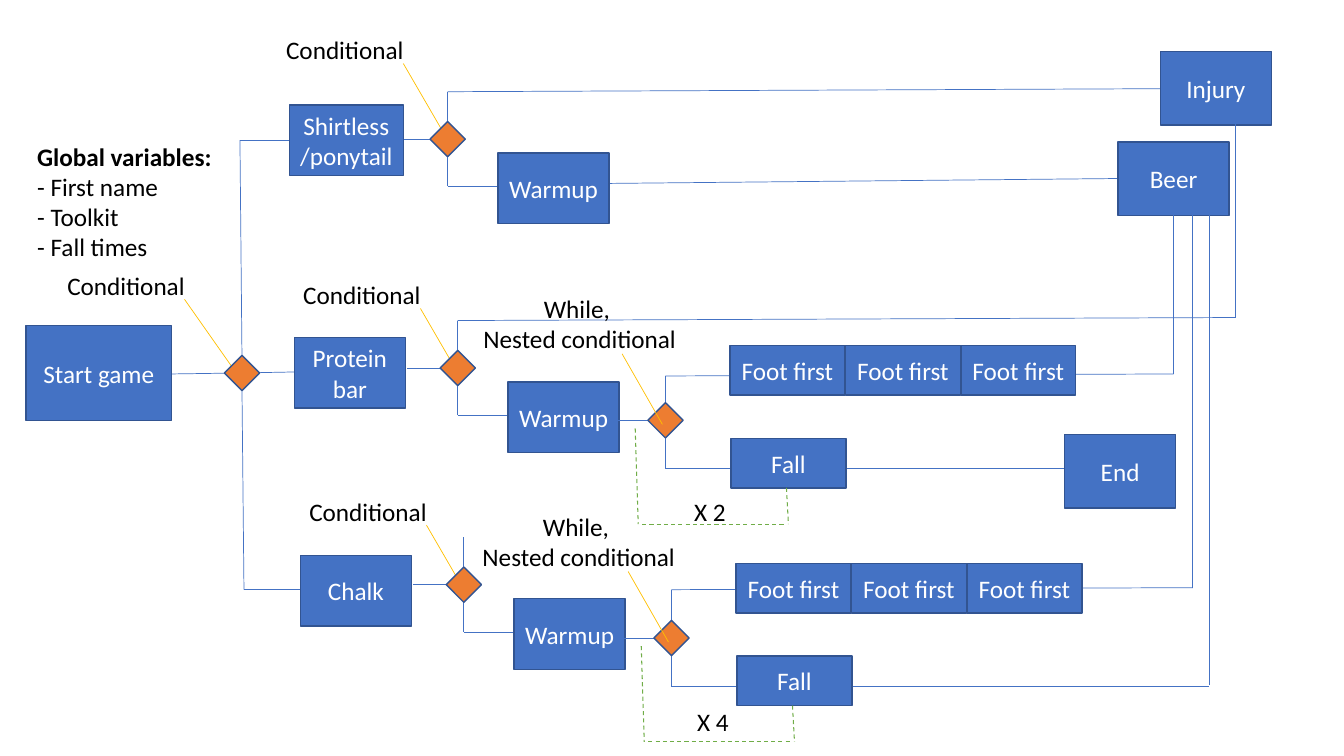
from lxml import etree
from pptx import Presentation
from pptx.dml.color import RGBColor
from pptx.enum.dml import MSO_LINE
from pptx.enum.shapes import MSO_CONNECTOR, MSO_SHAPE
from pptx.enum.text import MSO_ANCHOR, PP_ALIGN
from pptx.oxml.ns import qn
from pptx.util import Inches, Pt

BLUE, OUTLINE, ORANGE = "4472C4", "325491", "ED7D31"
YELLOW, GREEN, BLACK, WHITE = "FFC000", "70AD47", "000000", "FFFFFF"
DIAMOND = 0.35


def paint(color_format, color):
    """Set a fill, line or font colour from a hex string."""
    color_format.rgb = RGBColor.from_string(color)


def write(text_frame, lines, color, align=PP_ALIGN.CENTER):
    """Write one paragraph per line in the slide's text style."""
    for index, line in enumerate(lines):
        paragraph = text_frame.paragraphs[0] if index == 0 else text_frame.add_paragraph()
        paragraph.text = line
        paragraph.alignment = align
        paragraph.font.name = "Calibri"
        paragraph.font.size = Pt(18)
        paint(paragraph.font.color, color)


def add_line(slide, start, end, color=BLUE, width=0.5, dash=None):
    """Draw a straight line between two points."""
    line = slide.shapes.add_connector(
        MSO_CONNECTOR.STRAIGHT, *(Inches(value) for value in (*start, *end)))
    paint(line.line.color, color)
    line.line.width = Pt(width)
    if dash:
        line.line.dash_style = dash
    etree.SubElement(line._element.spPr, qn("a:effectLst"))


def add_wire(slide, *points, **style):
    """Join successive points with straight lines."""
    for start, end in zip(points, points[1:]):
        add_line(slide, start, end, **style)


def add_node(slide, kind, box, fill):
    """Draw an outlined shape in a left, top, width, height box."""
    shape = slide.shapes.add_shape(kind, *(Inches(value) for value in box))
    shape.shadow.inherit = False
    shape.fill.solid()
    paint(shape.fill.fore_color, fill)
    paint(shape.line.color, OUTLINE)
    shape.line.width = Pt(1)
    return shape


def add_step(slide, text, left, top, width=1.1, height=0.7):
    """Draw a blue step with its name in the middle."""
    step = add_node(slide, MSO_SHAPE.RECTANGLE, (left, top, width, height), BLUE)
    step.text_frame.word_wrap = True
    step.text_frame.vertical_anchor = MSO_ANCHOR.MIDDLE
    write(step.text_frame, [text], WHITE)


def add_decision(slide, x, y):
    """Draw a decision diamond centred on a point."""
    add_node(slide, MSO_SHAPE.DIAMOND,
             (x - DIAMOND / 2, y - DIAMOND / 2, DIAMOND, DIAMOND), ORANGE)


def add_label(slide, lines, left, top, width=1.38, height=0.4, align=PP_ALIGN.CENTER):
    """Place black text and return its text frame."""
    label = slide.shapes.add_textbox(*(Inches(value) for value in (left, top, width, height)))
    label.text_frame.word_wrap = True
    write(label.text_frame, lines, BLACK, align)
    return label.text_frame


def add_note(slide, start, end):
    """Point at a decision from its "Conditional" label."""
    add_line(slide, start, end, YELLOW)
    add_label(slide, ["Conditional"], end[0] - 1.27, end[1] - 0.34)


def add_variables(slide, left, top):
    """List the global variables under a bold heading."""
    lines = ["Global variables:", "- First name", "- Toolkit", "- Fall times"]
    text_frame = add_label(slide, lines, left, top, 1.95, 1.31, PP_ALIGN.LEFT)
    text_frame.paragraphs[0].font.bold = True


def add_start(slide, x, y):
    """Draw the start step and the three-way decision centred at x, y."""
    add_wire(slide, (x + 0.52, y - 2.31), (x - 0.02, y - 2.31), (x, y - 0.15))
    add_wire(slide, (x, y + 0.16), (x + 0.02, y + 2.15), (x + 0.6, y + 2.15))
    add_line(slide, (x - 0.7, y + 0.01), (x, y))
    add_line(slide, (x, y), (x + 0.54, y - 0.01))
    add_note(slide, (x - 0.05, y + 0.01), (x - 0.57, y - 0.73))
    add_step(slide, "Start game", x - 2.14, y - 0.47, 1.44, 0.94)
    add_decision(slide, x, y)


def add_branch(slide, x, y, action, action_box, note_shift=(0, 0), exit_point=None):
    """Draw an action, its decision at x, y and the warmup that follows."""
    left, top, width = action_box
    add_line(slide, (x - 0.5, y), (x, y))
    add_wire(slide, (x, y - 0.47), (x, y + 0.47), (x + 0.5, y + 0.47))
    if exit_point:
        add_line(slide, (x, y - 0.47), exit_point)
    note_x, note_y = x + note_shift[0], y + note_shift[1]
    add_note(slide, (note_x + 0.03, note_y + 0.1), (note_x - 0.37, note_y - 0.59))
    add_step(slide, action, x + left, y + top, width)
    add_step(slide, "Warmup", x + 0.5, y + 0.14)
    add_decision(slide, x, y)


def add_loop(slide, x, y, count, rise, count_offset, note_left, foot_exit, fall_exit):
    """Draw a nested decision at x, y with its foot steps, fall and repeat."""
    add_line(slide, (x - 0.5, y), (x, y))
    add_wire(slide, foot_exit, (x, y - rise), (x, y + 0.48), (fall_exit, y + 0.48))
    add_decision(slide, x, y)
    for index in range(3):
        add_step(slide, "Foot first", x + 0.64 + index * 1.145, y - 0.74, 1.14, 0.49)
    add_step(slide, "Fall", x + 0.65, y + 0.18, 1.14, 0.49)
    add_line(slide, (x - 0.03, y + 0.04), (x - 0.43, y - 0.66), YELLOW)
    add_label(slide, ["While, ", "Nested conditional"], note_left, y - 1.31, 2.18, 0.71)
    for start, end in (((1.2, 0.67), (1.22, 1.03)),
                       ((-0.23, 1.03), (1.2, 1.03)),
                       ((-0.3, 0.08), (-0.27, 1.03))):
        add_line(slide, (x + start[0], y + start[1]), (x + end[0], y + end[1]),
                 GREEN, 0.75, MSO_LINE.DASH)
    add_label(slide, [f"X {count}"], x + count_offset[0], y + count_offset[1], 0.52)


def add_outcomes(slide, left, top):
    """Draw the outcome steps and the lines that drop from them."""
    outcomes = {"Injury": (0.95, 0), "Beer": (0.53, 0.9), "End": (0, 3.8)}
    for name, (dx, dy) in outcomes.items():
        add_step(slide, name, left + dx, top + dy, height=0.73)
    drops = ((1.69, 0.72, 2.64), (1.08, 1.62, 3.2), (1.27, 1.62, 5.32), (1.43, 1.62, 6.29))
    for dx, start, end in drops:
        add_line(slide, (left + dx, top + start), (left + dx, top + end))


def build_flowchart(slide):
    """Place every region of the climbing game flowchart."""
    add_variables(slide, 0.27, 1.35)
    add_start(slide, 2.4, 3.7)
    add_line(slide, (6.04, 1.82), (11.22, 1.77))
    add_branch(slide, 4.44, 1.38, "Shirtless/ponytail", (-1.57, -0.34, 1.13),
               (-0.07, -0.16), (11.51, 0.88))
    add_branch(slide, 4.54, 3.65, "Protein bar", (-1.62, -0.3, 1.1), exit_point=(12.25, 3.15))
    add_branch(slide, 4.6, 5.8, "Chalk", (-1.62, -0.29, 1.1))
    add_loop(slide, 6.6, 4.17, 2, 0.44, (0.18, 0.7), 4.66, (11.64, 3.71), 10.85)
    add_loop(slide, 6.66, 6.33, 4, 0.48, (0.15, 0.63), 4.65, (11.83, 5.83), 11.99)
    add_outcomes(slide, 10.56, 0.51)


presentation = Presentation()
presentation.slide_width = Inches(13.33)
presentation.slide_height = Inches(7.5)
build_flowchart(presentation.slides.add_slide(presentation.slide_layouts[6]))
presentation.save("out.pptx")
